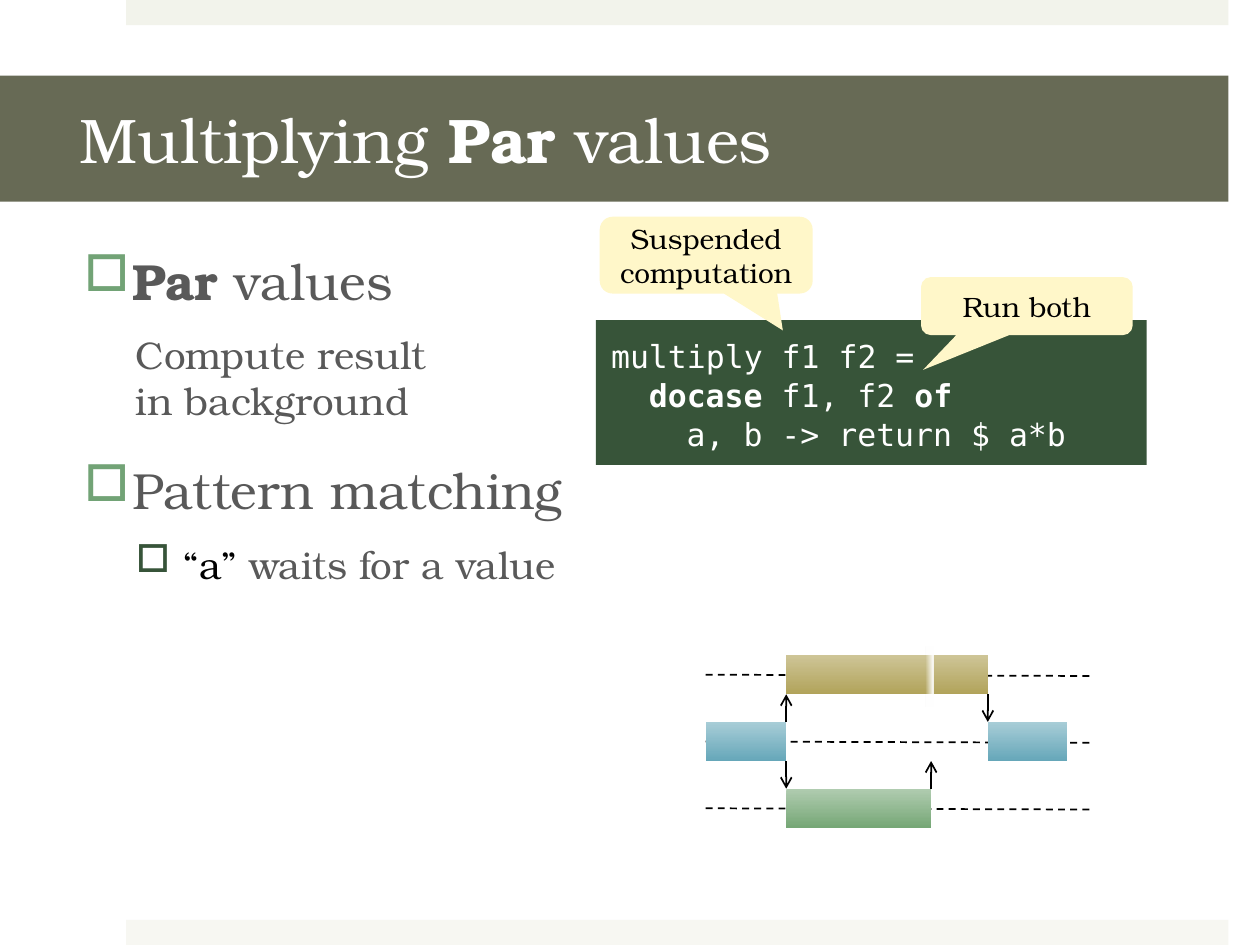
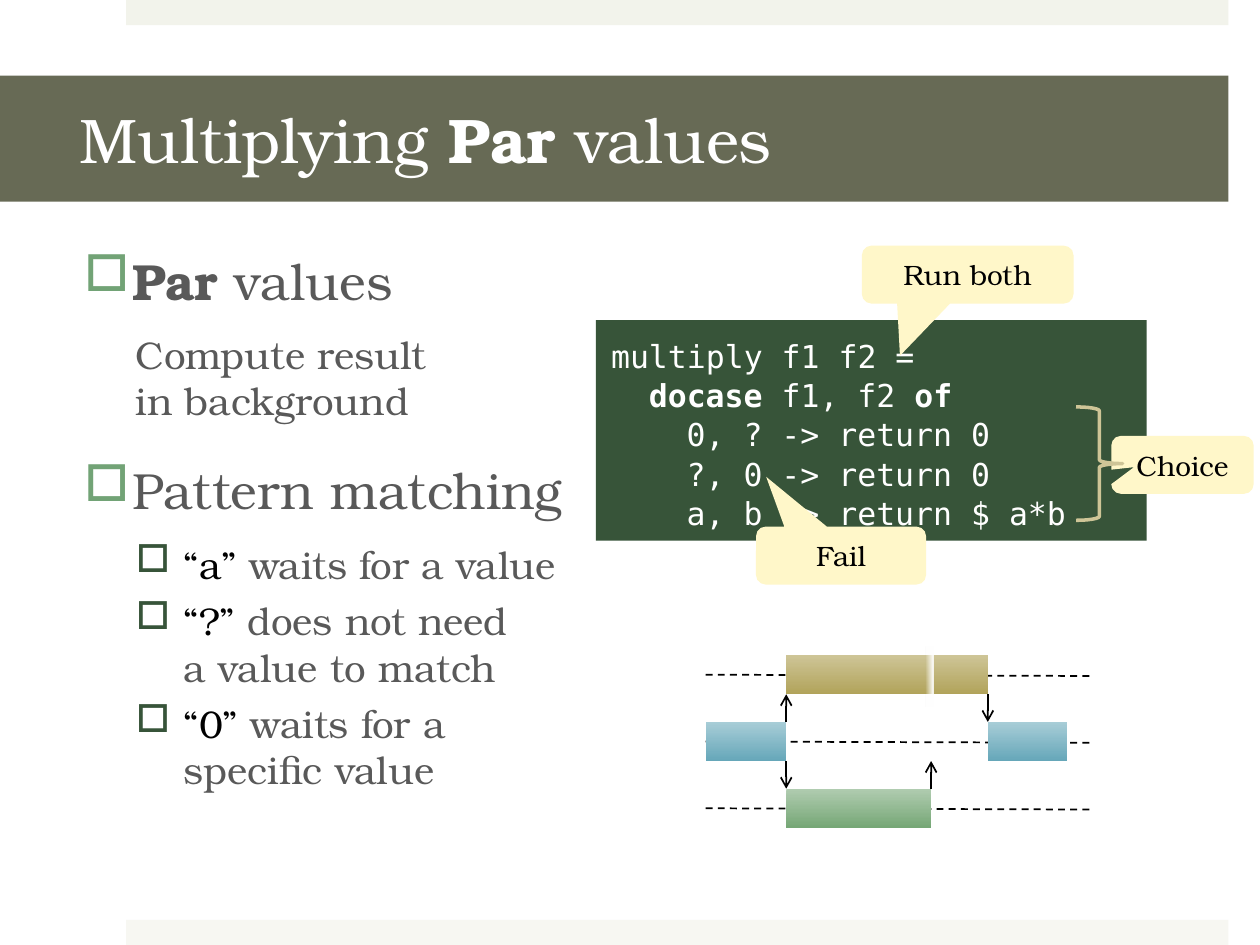
import pptx
import pptx.util
import pptx.dml.color
import pptx.enum.dml
import pptx.enum.shapes
import pptx.enum.text
import pptx.oxml
import pptx.oxml.ns
import lxml.etree

Inches, Pt = pptx.util.Inches, pptx.util.Pt
SHAPE = pptx.enum.shapes.MSO_SHAPE
ANCHOR = pptx.enum.text.MSO_ANCHOR
ALIGN = pptx.enum.text.PP_ALIGN
FIT = pptx.enum.text.MSO_AUTO_SIZE

SERIF, MONO = "TeX Gyre Bonum", "DejaVu Sans Mono"
COLORS = {
    "top": "F2F3EB", "bottom": "F7F7F2", "title": "676A55", "white": "FFFFFF",
    "black": "000000", "text": "595959", "bullet": "72A376", "code": "375439",
    "callout": "FFF7C9", "brace": "CEC597",
}
GRADIENTS = {
    "blue": ("A8CDD7", "66A7B9"),
    "green": ("B0CCB0", "76A776"),
    "gold": ("CEC597", "B1A35A"),
}
# Timeline grid: three lanes, and the moments where the work changes
LANES = [5.2, 5.73, 6.26]
BAR_H = 0.31
START, FORK, JOIN, MERGE, END = 5.6, 6.24, 7.39, 7.84, 8.47


def rgb(name):
    return pptx.dml.color.RGBColor.from_string(COLORS[name])


def make(parent, tag, **attrs):
    el = lxml.etree.SubElement(parent, pptx.oxml.ns.qn(tag))
    for key, value in attrs.items():
        el.set(key, str(value))
    return el


def add_shape(slide, kind, box, fill=None):
    sp = slide.shapes.add_shape(kind, *map(Inches, box))
    sp.shadow.inherit = False
    sp.line.fill.background()
    if fill:
        sp.fill.solid()
        sp.fill.fore_color.rgb = rgb(fill)
    else:
        sp.fill.background()
    return sp


def set_gradient(sp, stops, angle):
    """Fill with (position %, hex, alpha %) stops."""
    grad = pptx.oxml.parse_xml(
        "<a:gradFill %s/>" % pptx.oxml.ns.nsdecls("a"))
    stop_list = make(grad, "a:gsLst")
    for pos, color, alpha in stops:
        stop = make(stop_list, "a:gs", pos=pos * 1000)
        clr = make(stop, "a:srgbClr", val=color)
        if alpha < 100:
            make(clr, "a:alpha", val=alpha * 1000)
    make(grad, "a:lin", ang=angle * 60000, scaled=0)
    pr = sp.element.spPr
    pr.replace(pr.find(pptx.oxml.ns.qn("a:noFill")), grad)


def set_frame(tf, insets=(0.1, 0.05, 0.1, 0.05), **values):
    names = ("margin_left", "margin_top", "margin_right", "margin_bottom")
    values = {"word_wrap": True, **dict(zip(names, map(Inches, insets))), **values}
    for name, value in values.items():
        setattr(tf, name, value)


def next_paragraph(tf, **values):
    """Use the empty first paragraph, then add more."""
    p = tf.paragraphs[0]
    if p.runs:
        p = tf.add_paragraph()
    values = {"alignment": ALIGN.LEFT, **values}
    for name, value in values.items():
        setattr(p, name, value)
    return p


def add_runs(p, runs, size, font, color):
    """Each run is (text, bold, colour or None); a newline is a line break."""
    for text, bold, own_color in runs:
        for i, line in enumerate(text.split("\n")):
            if i:
                p.add_line_break()
            r = p.add_run()
            r.text = line
            fmt = {"size": Pt(size), "name": font, "bold": bold}
            for name, value in fmt.items():
                setattr(r.font, name, value)
            r.font.color.rgb = rgb(own_color or color)


def set_indent(p, left, first=0.0, bullet=None):
    pr = p._p.get_or_add_pPr()
    pr.set("marL", str(Inches(left)))
    pr.set("indent", str(Inches(first)))
    if bullet:
        make(make(pr, "a:buClr"), "a:srgbClr", val=COLORS[bullet])
        make(pr, "a:buChar", char="□")
    else:
        make(pr, "a:buNone")


def add_line(slide, start, end, dashed=False):
    """A dashed guide line, or a solid arrow."""
    cn = slide.shapes.add_connector(
        pptx.enum.shapes.MSO_CONNECTOR.STRAIGHT, *map(Inches, start + end))
    cn.line.color.rgb = rgb("black")
    cn.line.width = Pt(1)
    if dashed:
        cn.line.dash_style = pptx.enum.dml.MSO_LINE.DASH
    else:
        make(cn.line._get_or_add_ln(), "a:tailEnd", type="arrow")
    make(cn.element.spPr, "a:effectLst")


def add_base(prs, title):
    """Blank slide with edge bands and title band."""
    slide = prs.slides.add_slide(prs.slide_layouts[6])
    add_shape(slide, SHAPE.RECTANGLE, (1, 0, 8.75, 0.2), "top")
    add_shape(slide, SHAPE.RECTANGLE, (1, 7.3, 8.75, 0.2), "bottom")
    sp = add_shape(slide, SHAPE.RECTANGLE, (0, 0.6, 9.75, 1), "title")
    set_frame(sp.text_frame, (0.63, 0.05, 0.3, 0.05), vertical_anchor=ANCHOR.MIDDLE)
    add_runs(next_paragraph(sp.text_frame), title, 36, SERIF, "white")
    return slide


def add_body(slide, rules):
    """Two headings; rules are (quoted pattern, explanation) pairs."""
    tf = slide.shapes.add_textbox(*map(Inches, (0.57, 1.93, 8.97, 4.92))).text_frame
    set_frame(tf)

    def heading(*runs):
        p = next_paragraph(tf, space_before=Pt(20), space_after=Pt(6))
        set_indent(p, 0.38, -0.38, "bullet")
        add_runs(p, runs, 29, SERIF, "text")

    def detail(indent, *runs):
        p = next_paragraph(tf, space_before=Pt(6))
        set_indent(p, *indent)
        add_runs(p, runs, 22, SERIF, "text")

    heading(("Par", True, None), (" values", False, None))
    detail((0.41,), ("Compute result\nin background", False, None))
    heading(("Pattern matching", False, None))
    for pattern, meaning in rules:
        detail((0.79, -0.38, "code"),
               (pattern, False, "black"), (meaning, False, None))


def add_code(slide, height, cases):
    sp = add_shape(slide, SHAPE.RECTANGLE, (4.73, 2.54, 4.37, height), "code")
    tf = sp.text_frame
    set_frame(tf, (0.12,) * 4, vertical_anchor=ANCHOR.TOP,
              auto_size=FIT.SHAPE_TO_FIT_TEXT)
    lines = [(0, [("multiply f1 f2 =", False, None)]),
             (1, [("docase ", True, None), ("f1, f2 ", False, None),
                  ("of", True, None)])]
    lines += [(2, [(case, False, None)]) for case in cases]
    for level, runs in lines:
        p = next_paragraph(tf, line_spacing=1.04)
        set_indent(p, 0.3 * level)
        add_runs(p, runs, 18, MONO, "white")


def add_callout(slide, text, box, tip):
    sp = add_shape(slide, SHAPE.ROUNDED_RECTANGULAR_CALLOUT, box, "callout")
    for i, value in enumerate(tip):
        sp.adjustments[i] = value
    set_frame(sp.text_frame, vertical_anchor=ANCHOR.MIDDLE)
    p = next_paragraph(sp.text_frame, alignment=ALIGN.CENTER)
    add_runs(p, [(text, False, None)], 16, SERIF, "black")


def add_bar(slide, lane, start, end, gradient):
    sp = add_shape(slide, SHAPE.RECTANGLE, (start, LANES[lane], end - start, BAR_H))
    first, last = GRADIENTS[gradient]
    set_gradient(sp, [(0, first, 100), (100, last, 100)], 90)


def add_timeline(slide):
    top, middle, bottom = LANES
    # Lane guides
    for y in LANES:
        mid = y + BAR_H / 2
        add_line(slide, (START, mid), (8.66, mid + 0.01), dashed=True)
    # Work
    add_bar(slide, 1, START, FORK, "blue")
    add_bar(slide, 2, FORK, JOIN, "green")
    add_bar(slide, 1, MERGE, END, "blue")
    add_bar(slide, 0, FORK, MERGE, "gold")
    # Soft white gap in the top bar
    gap = add_shape(slide, SHAPE.RECTANGLE, (JOIN - 0.04, top - 0.07, 0.06, 0.48))
    set_gradient(gap, [(0, "FFFFFF", 0), (95, "FFFFFF", 100)], 0)
    # Hand-overs between lanes
    for x, y1, y2 in [(FORK, middle, top + BAR_H), (FORK, middle + BAR_H, bottom),
                      (MERGE, top + BAR_H, middle), (JOIN, bottom, middle + BAR_H)]:
        add_line(slide, (x, y1), (x, y2))


def add_brace(slide, box):
    sp = add_shape(slide, SHAPE.RIGHT_BRACE, box)
    sp.line.color.rgb = rgb("brace")
    sp.line.width = Pt(2)


def main():
    prs = pptx.Presentation()
    prs.slide_width, prs.slide_height = Inches(10), Inches(7.5)
    title = [("Multiplying ", False, None), ("Par", True, None),
             (" values", False, None)]
    rules = [("“a”", " waits for a value"),
             ("“?”", " does not need\na value to match"),
             ("“0” ", "waits for a\nspecific value")]
    product = "a, b -> return $ a*b"

    # Slide 1: one case
    slide = add_base(prs, title)
    add_body(slide, rules[:1])
    add_timeline(slide)
    add_code(slide, 1.15, [product])
    add_callout(slide, "Suspended computation", (4.76, 1.72, 1.69, 0.61), (0.36, 0.98))
    add_callout(slide, "Run both", (7.31, 2.2, 1.68, 0.46), (-0.49, 1.1))

    # Slide 2: shortcut cases
    slide = add_base(prs, title)
    add_body(slide, rules)
    add_timeline(slide)
    add_code(slide, 1.75, ["0, ? -> return 0", "?, 0 -> return 0", product])
    add_callout(slide, "Run both", (6.84, 1.95, 1.68, 0.46), (-0.32, 1.4))
    add_callout(slide, "Fail", (6, 4.18, 1.35, 0.46), (-0.44, -1.36))
    add_callout(slide, "Choice", (8.82, 3.46, 1.13, 0.46), (-0.34, 0.04))
    add_brace(slide, (8.54, 3.23, 0.37, 0.9))

    prs.save("out.pptx")


main()
